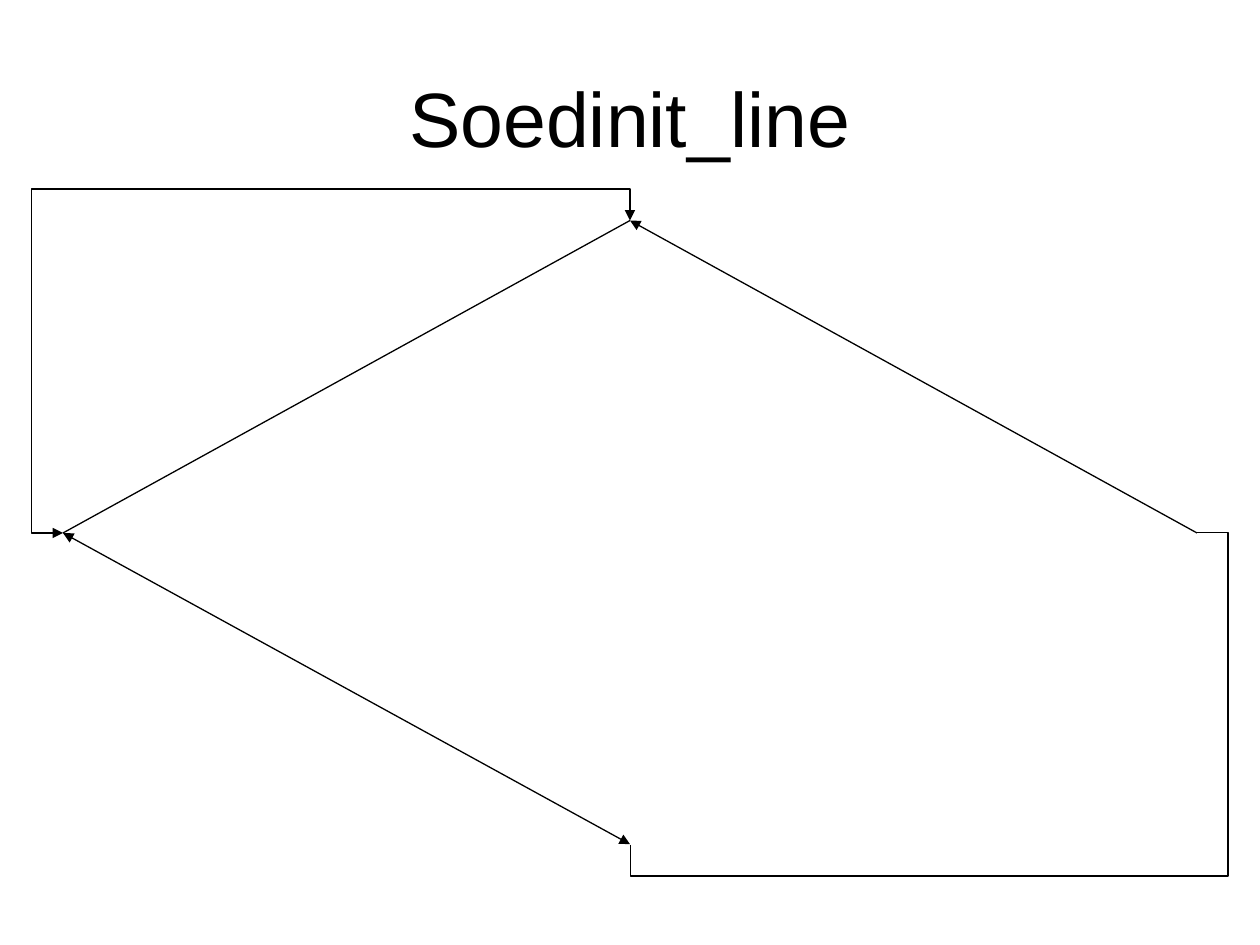
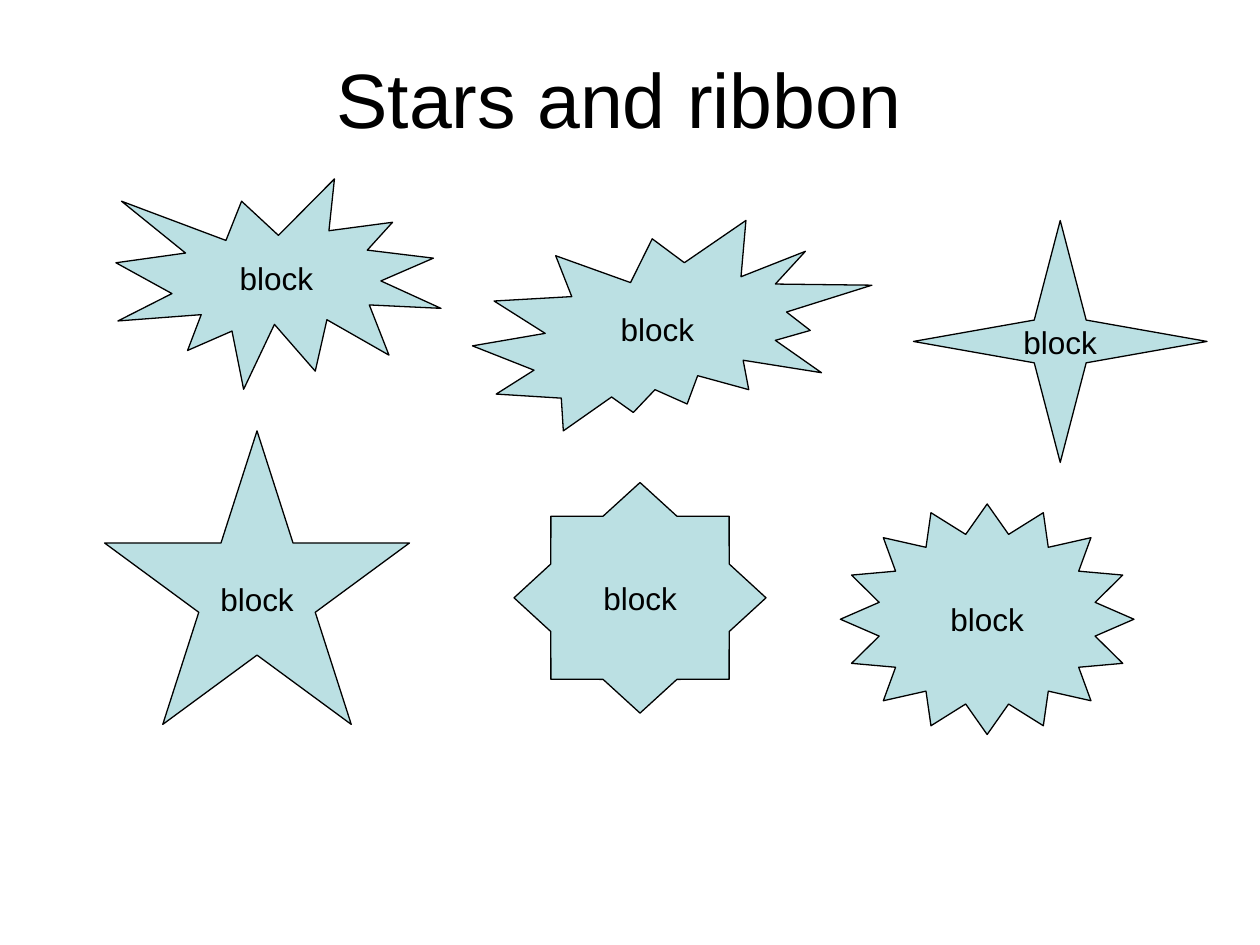
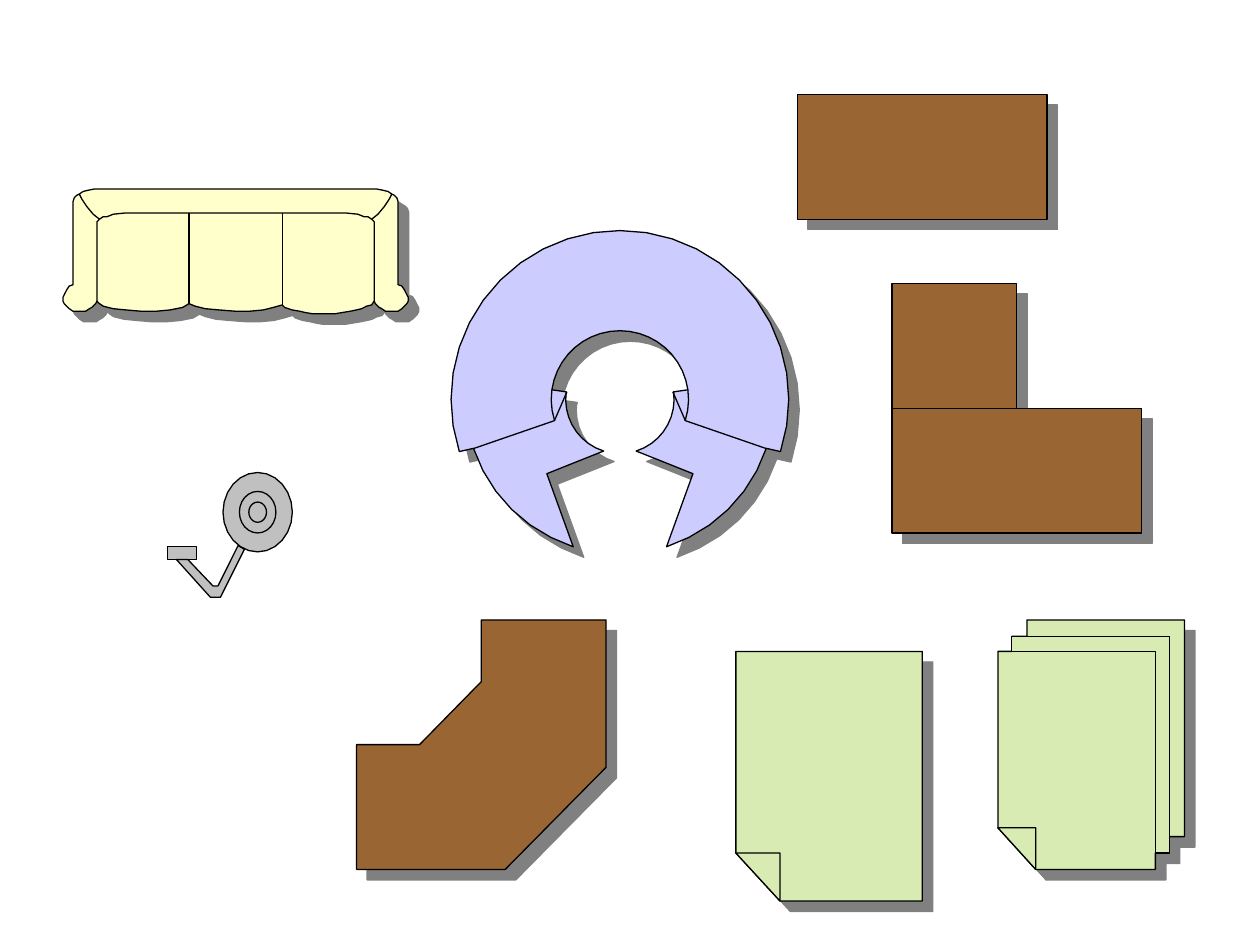
"""Build three slides: connector lines, stars, and an office furniture plan."""
import math

import pptx
import pptx.dml.color
import pptx.enum.shapes
import pptx.enum.text
import pptx.oxml
import pptx.oxml.ns
import pptx.util
from lxml import etree

RGBColor = pptx.dml.color.RGBColor
Shape = pptx.enum.shapes.MSO_SHAPE
Connector = pptx.enum.shapes.MSO_CONNECTOR
qn = pptx.oxml.ns.qn

PX = 9144
FONT = "Arial"
BLACK = RGBColor(0x00, 0x00, 0x00)
TEAL = RGBColor(0xBB, 0xE0, 0xE3)
CREAM = RGBColor(0xFF, 0xFF, 0xCC)
LILAC = RGBColor(0xCC, 0xCC, 0xFF)
WOOD = RGBColor(0x99, 0x66, 0x33)
STEEL = RGBColor(0xC0, 0xC0, 0xC0)
PAPER = RGBColor(0xD8, 0xEB, 0xB3)
SHADE = RGBColor(0x80, 0x80, 0x80)

LINES_TITLE = ("Soedinit_line", (50, 30, 900, 125))
STARS_TITLE = ("Stars and ribbon ", (50, 30, 900, 95))

LEFT, TOP, RIGHT, BOTTOM = (50, 423), (500, 175), (950, 423), (500, 670)
STRAIGHT_LINES = [
    (LEFT, LEFT, ()),
    (LEFT, TOP, ()),
    (RIGHT, TOP, ("tailEnd",)),
    (LEFT, BOTTOM, ("headEnd", "tailEnd")),
]
BENT_LINES = [
    ((849, 771), (601, 322), 90, (-0.1, 1.056), ()),
    ((500, 175), (50, 423), 180, (-0.056, 1.101), ("headEnd", "tailEnd")),
]

STARS = [
    (Shape.EXPLOSION1, (92, 142, 258, 167), None),
    (Shape.EXPLOSION2, (375, 175, 317, 167), None),
    (Shape.STAR_4_POINT, (725, 175, 233, 192), 0.125),
    (Shape.STAR_5_POINT, (83, 342, 242, 233), None),
    (Shape.STAR_8_POINT, (408, 383, 200, 183), 0.383),
    (Shape.STAR_16_POINT, (667, 400, 233, 183), 0.375),
]

SOFA_AXIS = 187
SOFA_ARM = [
    (77, 239), (76, 241), (74, 243), (73, 244), (71, 245), (68, 247), (65, 247),
    (61, 247), (58, 247), (55, 245), (53, 243), (51, 241), (50, 239), (50, 236),
    (51, 234), (52, 232), (53, 230), (55, 227), (58, 226), (58, 199), (58, 163),
    (58, 160), (59, 157), (61, 155), (63, 154), (66, 152), (70, 151), (75, 150),
    (81, 150), (95, 150), (113, 150),
]
SOFA_FRONT = [
    (295, 242), (291, 243), (287, 245), (283, 246), (278, 247), (272, 248),
    (266, 249), (260, 249), (254, 249), (248, 249), (242, 248), (238, 247),
    (232, 246), (229, 245), (226, 244), (224, 242), (217, 244), (209, 246),
    (198, 247), (187, 247), (174, 246), (163, 245), (155, 243), (150, 241),
    (145, 244), (135, 246), (124, 247), (112, 247), (100, 246), (90, 245),
    (82, 243), (79, 241),
]
SOFA_BACK = [(77, 239), (77, 212), (77, 178), (77, 176), (79, 174), (82, 172),
             (85, 172), (90, 170), (100, 169), (113, 169)]
SOFA_CORNER = [(79, 174), (74, 170), (69, 164), (65, 158), (63, 154)]
SOFA_SEAMS = [[(150, 169), (150, 241)], [(224, 169), (224, 242)]]

LOUNGE_CENTRE = (492, 317)
LOUNGE_ARM = (434, 376)
LOUNGE_JOINT = [(440, 334), (450, 311)]

DESK = [(633, 75), (831, 75), (831, 174), (633, 174)]
CORNER_DESK = [(807, 324), (807, 225), (708, 225), (708, 423), (906, 423),
               (906, 324), (708, 324), (807, 324)]
ANGLED_DESK = [(382, 492), (481, 492), (481, 609), (401, 690), (283, 690),
               (283, 591), (333, 591), (382, 541)]

STOOL_CENTRE = (204.5, 406.5)
STOOL_DISCS = [(27.5, 31.5), (14.5, 16.5), (7, 8)]
STOOL_FOOT = [(133, 434), (156, 434), (156, 444), (133, 444)]
STOOL_ROD = [(169, 465), (173, 465), (189, 433), (194, 436), (175, 474),
             (167, 474), (140, 444), (149, 444)]

SHEET = [(619, 715), (584, 677), (584, 517), (732, 517), (732, 715)]
SHEET_FOLD = [(584, 677), (619, 677), (619, 715)]
STACK = [(792, 657), (792, 517), (803, 517), (803, 505), (815, 505), (815, 492),
         (940, 492), (940, 664), (928, 664), (928, 677), (917, 677), (917, 690),
         (822, 690)]
STACK_MIDDLE = [(803, 505), (928, 505), (928, 677), (917, 677), (917, 517), (803, 517)]
STACK_FOLD = [(792, 657), (822, 657), (822, 690)]


def emu(lengths):
    return [round(length * PX) for length in lengths]


def write(frame, text, size=18, wrap=False):
    frame.word_wrap = wrap
    frame.vertical_anchor = pptx.enum.text.MSO_ANCHOR.MIDDLE
    paragraph = frame.paragraphs[0]
    paragraph.alignment = pptx.enum.text.PP_ALIGN.CENTER
    run = paragraph.add_run()
    run.text = text
    run.font.size = pptx.util.Pt(size)
    run.font.name = FONT
    run.font.color.rgb = BLACK


def add_title(slide, text, box):
    write(slide.shapes.add_textbox(*emu(box)).text_frame, text, size=44, wrap=True)


def ink(line):
    line.color.rgb = BLACK
    line.width = pptx.util.Pt(0.75)


def dress(shape, fill):
    ink(shape.line)
    shape.shadow.inherit = False
    shape.fill.solid()
    shape.fill.fore_color.rgb = fill


def cast_shadow(shape):
    effects = shape._element.spPr.find(qn("a:effectLst"))
    outer = etree.SubElement(effects, qn("a:outerShdw"), blurRad="0",
                             dist=str(pptx.util.Pt(8.5)), dir="2700000",
                             algn="ctr", rotWithShape="0")
    etree.SubElement(outer, qn("a:srgbClr"), val=str(SHADE))


def split_contours(shape, filled_count):
    """Give each contour its own path; those after the filled ones are only drawn."""
    whole = shape._element.spPr.find(f".//{qn('a:path')}")
    paths = whole.getparent()
    contours = []
    for step in list(whole):
        if step.tag == qn("a:moveTo"):
            contours.append(etree.SubElement(paths, qn("a:path"), dict(whole.attrib)))
        contours[-1].append(step)
    paths.remove(whole)
    for contour in contours[filled_count:]:
        contour.set("fill", "none")


def add_furniture(slide, fill, contours, details=(), shadow=True):
    builder = slide.shapes.build_freeform(*emu(contours[0][0]), scale=1.0)
    for index, points in enumerate([*contours, *details]):
        start, *rest = [emu(point) for point in points]
        if index:
            builder.move_to(*start)
        builder.add_line_segments(rest, close=index < len(contours))
    shape = builder.convert_to_shape()
    split_contours(shape, len(contours))
    dress(shape, fill)
    if shadow:
        cast_shadow(shape)


def add_line(slide, begin, end, arrows=(), kind=Connector.STRAIGHT):
    line = slide.shapes.add_connector(kind, *emu(begin + end))
    ink(line.line)
    properties = line._element.spPr
    for arrow in arrows:
        etree.SubElement(properties.find(qn("a:ln")), qn(f"a:{arrow}"), type="triangle")
    etree.SubElement(properties, qn("a:effectLst"))
    return line


def add_bent_line(slide, begin, end, degrees, bends, arrows):
    line = add_line(slide, begin, end, arrows, Connector.ELBOW)
    properties = line._element.spPr
    properties.find(qn("a:xfrm")).set("rot", str(degrees * 60000))
    geometry = properties.find(qn("a:prstGeom"))
    geometry.set("prst", "bentConnector4")
    guides = geometry.find(qn("a:avLst"))
    for number, bend in enumerate(bends, 1):
        etree.SubElement(guides, qn("a:gd"), name=f"adj{number}",
                         fmla=f"val {round(bend * 100000)}")


def mirror(points, axis):
    return [(2 * axis - x, y) for x, y in points]


def arc(centre, radii, first, last, step=9):
    count = math.ceil(abs(last - first) / step)
    angles = [math.radians(first + (last - first) * i / count) for i in range(count + 1)]
    (x, y), (across, down) = centre, radii
    return [(x + across * math.cos(a), y + down * math.sin(a)) for a in angles]


def add_sofa(slide):
    body = SOFA_ARM + mirror(SOFA_ARM, SOFA_AXIS)[::-1] + SOFA_FRONT
    back = SOFA_BACK + mirror(SOFA_BACK, SOFA_AXIS)[::-1]
    corners = [SOFA_CORNER, mirror(SOFA_CORNER, SOFA_AXIS)]
    add_furniture(slide, CREAM, [body], [back, *corners, *SOFA_SEAMS])


def add_lounge(slide):
    def ring(radius, first, last):
        return arc(LOUNGE_CENTRE, (radius, radius), first, last)

    axis = LOUNGE_CENTRE[0]
    outer = ring(134, 162, 270)
    half = (ring(54.5, 270, 188) + ring(43, 188, 107.5) + [LOUNGE_ARM, (455, 434)]
            + ring(122.5, 107.5, 161.5)[1:] + outer)
    seam = [(376, 356)] + ring(54.5, 162, 188)
    details = [seam, LOUNGE_JOINT, mirror(seam, axis), mirror(LOUNGE_JOINT, axis)]
    add_furniture(slide, LILAC, [half + mirror(half, axis)[::-1]], details)


def add_stool(slide):
    discs = [arc(STOOL_CENTRE, radii, 0, 360, step=15)[:-1] for radii in STOOL_DISCS]
    add_furniture(slide, STEEL, [*discs, STOOL_FOOT, STOOL_ROD], shadow=False)


def build_lines(slide):
    add_title(slide, *LINES_TITLE)
    for line in STRAIGHT_LINES:
        add_line(slide, *line)
    for line in BENT_LINES:
        add_bent_line(slide, *line)


def build_stars(slide):
    add_title(slide, *STARS_TITLE)
    for preset, box, depth in STARS:
        star = slide.shapes.add_shape(preset, *emu(box))
        dress(star, TEAL)
        if depth is not None:
            star.adjustments[0] = depth
        write(star.text_frame, "block")


def build_plan(slide):
    add_sofa(slide)
    add_lounge(slide)
    for desk in (DESK, CORNER_DESK, ANGLED_DESK):
        add_furniture(slide, WOOD, [desk])
    add_stool(slide)
    for paper in ([SHEET, SHEET_FOLD], [STACK, STACK_MIDDLE, STACK_FOLD]):
        add_furniture(slide, PAPER, paper)


def main():
    deck = pptx.Presentation()
    deck.slide_width, deck.slide_height = emu((1000, 750))
    for build in (build_lines, build_stars, build_plan):
        build(deck.slides.add_slide(deck.slide_layouts[6]))
    deck.save("out.pptx")


if __name__ == "__main__":
    main()
